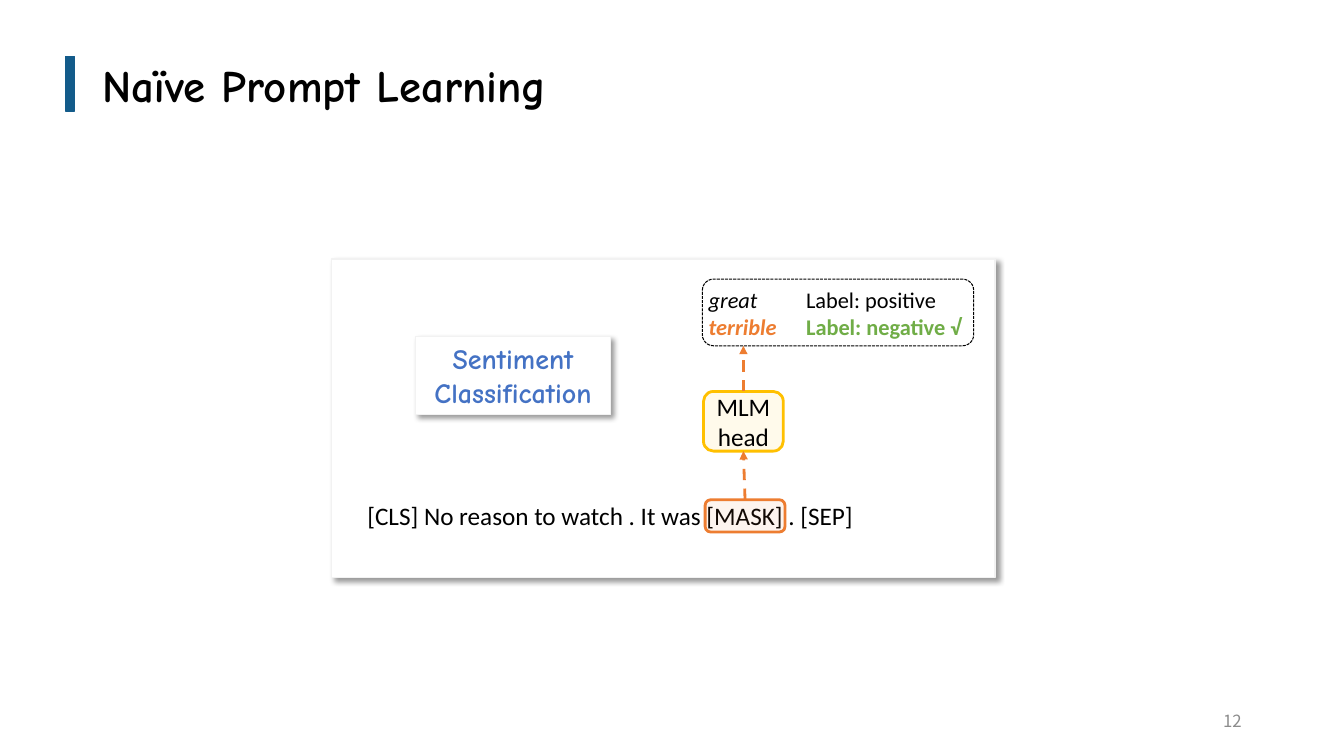
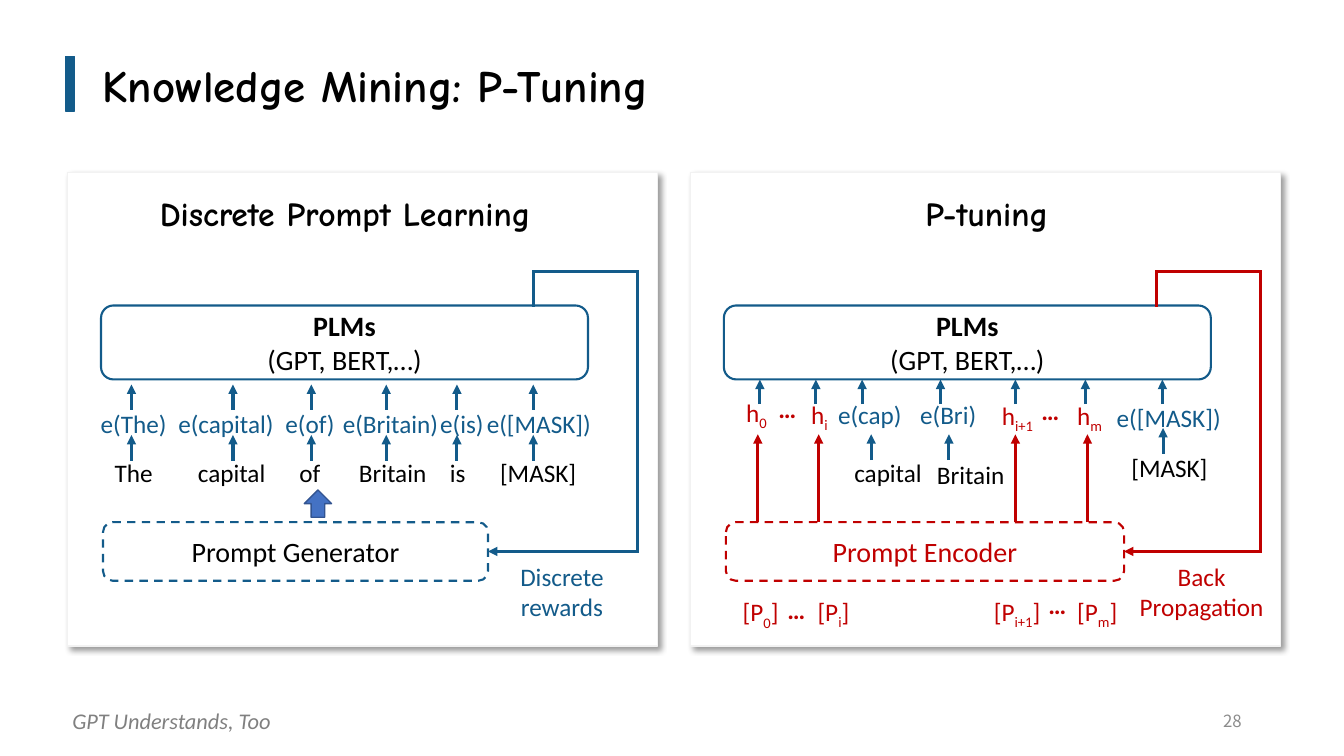
from itertools import pairwise

from lxml.etree import SubElement
from pptx import Presentation
from pptx.dml.color import RGBColor
from pptx.enum.dml import MSO_LINE
from pptx.enum.shapes import MSO_CONNECTOR, MSO_SHAPE
from pptx.enum.text import MSO_ANCHOR, PP_ALIGN
from pptx.oxml.ns import qn
from pptx.util import Pt

COLORS = {
    "black": "000000", "white": "FFFFFF", "edge": "F2F2F2",
    "navy": "135B8A", "red": "C00000", "orange": "ED7D31",
    "gold": "FFC000", "green": "70AD47", "blue": "4472C4",
    "blue_edge": "325491", "number": "8C8C8C", "footer": "808080",
}
BODY, HEADING, NUMBER = "Calibri", "Comic Neue", "Noto Sans CJK SC"
LABEL_WIDTH = 110


def rgb(name):
    return RGBColor.from_string(COLORS[name])


# Drawing helpers
def write(shape, text, size=18, color="black", font=BODY, bold=False,
          italic=False, align=PP_ALIGN.CENTER):
    """Fill a shape with text; every second part between bars is a subscript."""
    frame = shape.text_frame
    for index, line in enumerate(text.split("\n")):
        para = frame.paragraphs[0] if index == 0 else frame.add_paragraph()
        para.alignment = align
        for position, part in enumerate(line.split("|")):
            if not part:
                continue
            span = para.add_run()
            span.text = part
            span.font.name, span.font.size = font, Pt(size)
            span.font.bold, span.font.italic = bold, italic
            span.font.color.rgb = rgb(color)
            if position % 2:
                span.font._element.set("baseline", "-25000")


def add_text(page, left, top, width, height, text, wrap=True,
             anchor=MSO_ANCHOR.TOP, **style):
    box = page.shapes.add_textbox(Pt(left), Pt(top), Pt(width), Pt(height))
    box.text_frame.word_wrap = wrap
    box.text_frame.vertical_anchor = anchor
    write(box, text, **style)
    return box


def add_label(page, center, top, text, **style):
    """One-line label centred on a given x."""
    return add_text(page, center - LABEL_WIDTH / 2, top, LABEL_WIDTH, 29, text,
                    wrap=False, **style)


def add_box(page, kind, left, top, width, height, line, weight=1.0,
            fill=None, alpha=None, dash=None):
    box = page.shapes.add_shape(kind, Pt(left), Pt(top), Pt(width), Pt(height))
    box.shadow.inherit = False
    box.line.color.rgb = rgb(line)
    box.line.width = Pt(weight)
    if dash:
        box.line.dash_style = dash
    if fill:
        box.fill.solid()
        box.fill.fore_color.rgb = rgb(fill)
    else:
        box.fill.background()
    if alpha:
        tone = box._element.spPr.find(qn("a:solidFill")).find(qn("a:srgbClr"))
        SubElement(tone, qn("a:alpha"), val=str(alpha * 1000))
    box.text_frame.vertical_anchor = MSO_ANCHOR.MIDDLE
    return box


def add_card(page, left, top, width, height, weight=1.0):
    """White rectangle with a soft shadow to the lower right."""
    card = add_box(page, MSO_SHAPE.RECTANGLE, left, top, width, height,
                   "edge", weight, fill="white")
    effects = card._element.spPr.find(qn("a:effectLst"))
    shadow = SubElement(effects, qn("a:outerShdw"), blurRad=str(Pt(4)),
                        dist=str(Pt(3)), dir="2700000", algn="tl", rotWithShape="0")
    tone = SubElement(shadow, qn("a:srgbClr"), val=COLORS["black"])
    SubElement(tone, qn("a:alpha"), val="40000")
    return card


def add_line(page, start, end, color, weight=2.25, dash=None, arrow=True):
    line = page.shapes.add_connector(MSO_CONNECTOR.STRAIGHT, Pt(start[0]),
                                     Pt(start[1]), Pt(end[0]), Pt(end[1]))
    line.line.color.rgb = rgb(color)
    line.line.width = Pt(weight)
    if dash:
        line.line.dash_style = dash
    stroke = line.line._get_or_add_ln()
    if arrow:
        SubElement(stroke, qn("a:tailEnd"), type="triangle")
    else:
        stroke.set("cap", "sq")
    SubElement(line._element.spPr, qn("a:effectLst"))
    return line


# Shared slide frame
def add_page(deck, title, number):
    page = deck.slides.add_slide(deck.slide_layouts[6])
    add_box(page, MSO_SHAPE.RECTANGLE, 46.8, 40.3, 6.5, 39, "navy", fill="navy")
    heading = add_text(page, 66.2, 28.8, 828, 68.4, title, size=32, font=HEADING,
                       bold=True, anchor=MSO_ANCHOR.MIDDLE, align=PP_ALIGN.LEFT)
    heading.text_frame.paragraphs[0].line_spacing = 0.9
    add_text(page, 678, 500.4, 216, 28.8, str(number), size=12, color="number",
             font=NUMBER, anchor=MSO_ANCHOR.MIDDLE, align=PP_ALIGN.RIGHT)
    return page


# Sentiment example: masked sentence, head and verbalizer
def add_sentiment_example(page, left, top):
    add_card(page, left, top, 473.8, 227.5)
    add_text(page, left - 41, top + 168.5, 480, 29,
             "[CLS] No reason to watch . It was [MASK] . [SEP]")
    rounded = MSO_SHAPE.ROUNDED_RECTANGLE
    mask = add_box(page, rounded, left + 266.8, top + 172, 57, 23, "orange", 2,
                   fill="orange", alpha=8)
    head = add_box(page, rounded, left + 265.6, top + 94.6, 57, 42.6, "gold", 2,
                   fill="gold", alpha=8)
    head.text_frame.word_wrap = True
    write(head, "MLM head")

    # Answer words and their labels
    add_box(page, rounded, left + 264.8, top + 14.4, 193.8, 47.6, "black", 0.75,
            dash=MSO_LINE.SQUARE_DOT)
    for offset, width, lines, accent, italic in (
            (262.2, 63.4, ("great", "terrible"), "orange", True),
            (331.8, 126.8, ("Label: positive", "Label: negative √"), "green", False)):
        column = add_text(page, left + offset, top + 15.8, width, 46, "\n".join(lines),
                          wrap=False, size=16, italic=italic, align=PP_ALIGN.LEFT)
        chosen = column.text_frame.paragraphs[1].runs[0].font
        chosen.bold = True
        chosen.color.rgb = rgb(accent)

    # Arrows from the mask up to the answer
    middle = left + 294.1
    to_answer = add_line(page, (middle, top + 94.6), (middle, top + 62),
                         "orange", 2, MSO_LINE.DASH)
    to_answer.begin_connect(head, 0)
    to_head = add_line(page, (middle + 1.2, top + 172), (middle, top + 137.2),
                       "orange", 2, MSO_LINE.DASH)
    to_head.begin_connect(mask, 0)
    to_head.end_connect(head, 2)

    task = add_card(page, left + 59.8, top + 55.5, 139.7, 55.5, weight=0.75)
    task.text_frame.word_wrap = True
    write(task, "Sentiment Classification", size=20, color="blue", font=HEADING,
          bold=True)


# Card with a language model, a prompt source and a feedback loop
def add_model_card(page, left, top, title, title_center, source, source_width,
                   source_color, color, feedback, feedback_center):
    add_card(page, left, top, 421.2, 338.4)
    add_text(page, left + title_center - 150, top + 11, 300, 36, title, size=24,
             font=HEADING, bold=True)
    model = add_box(page, MSO_SHAPE.ROUNDED_RECTANGLE, left + 23.8, top + 95, 347.8,
                    52.8, "navy", 1.5)
    write(model, "PLMs\n(GPT, BERT,…)", size=20)
    model.text_frame.paragraphs[0].runs[0].font.bold = True
    prompt = add_box(page, MSO_SHAPE.ROUNDED_RECTANGLE, left + 25.2, top + 249.8,
                     source_width, 41.8, color, 1.5, dash=MSO_LINE.DASH)
    write(prompt, source, size=20, color=source_color)

    # Feedback from the model to the prompt source
    turn, corner, level = left + 332.5, left + 406.8, top + 270.7
    route = [(turn, top + 95), (turn, top + 70.5), (corner, top + 70.5),
             (corner, level)]
    for start, end in pairwise(route):
        add_line(page, start, end, color, arrow=False)
    back = add_line(page, route[-1], (left + 25.2 + source_width, level), color)
    back.end_connect(prompt, 3)
    add_text(page, left + feedback_center - 55, top + 274.3, 110, 51, feedback,
             color=color)


def add_arrows(page, left, top, columns, start, end, color):
    for x in columns:
        add_line(page, (left + x, top + start), (left + x, top + end), color)


def add_labels(page, left, top, labels, color):
    """Place (text, centre, top) labels; a lone ellipsis is bold."""
    for text, center, height in labels:
        add_label(page, left + center, top + height, text, color=color,
                  bold=text == "…")


def add_discrete_card(page, left, top):
    add_model_card(page, left, top, "Discrete Prompt Learning", 198,
                   "Prompt Generator", 275, "black", "navy", "Discrete\nrewards", 353)
    # Word, arrow x, word centre, embedding centre
    tokens = (("The", 45.5, 47, 47), ("capital", 118, 117, 113),
              ("of", 174, 173, 173), ("Britain", 227.5, 232, 230.5),
              ("is", 278, 278.5, 281.5), ("[MASK]", 332.5, 336, 336.5))
    add_labels(page, left, top, [(word, x, 200) for word, _, x, _ in tokens], "black")
    add_labels(page, left, top,
               [(f"e({word})", x, 165) for word, _, _, x in tokens], "navy")
    columns = [x for _, x, _, _ in tokens]
    for start, end in ((206, 187.5), (169.5, 151.5)):
        add_arrows(page, left, top, columns, start, end, "navy")
    add_box(page, MSO_SHAPE.UP_ARROW, left + 169, top + 226.8, 19.5, 19.5,
            "blue_edge", fill="blue")


def add_p_tuning_card(page, left, top):
    add_model_card(page, left, top, "P-tuning", 211.5, "Prompt Encoder", 284.4,
                   "red", "red", "Back\nPropagation", 365)
    # Pseudo tokens and their learned vectors
    add_labels(page, left, top, (
        ("[P|0|]", 50, 299.5), ("…", 75.5, 297.5), ("[P|i|]", 102, 299),
        ("[P|i+1|]", 233.2, 299), ("…", 262, 294.5), ("[P|m|]", 290.5, 299),
        ("h|0", 47, 157), ("…", 69, 154), ("h|i", 92, 158.5),
        ("h|i+1", 233.5, 159), ("…", 257, 155.5), ("h|m", 285, 159)), "red")
    # Real words and their embeddings
    add_labels(page, left, top, (("capital", 141, 200), ("Britain", 200, 201),
                                 ("[MASK]", 342, 196)), "black")
    add_labels(page, left, top, (("e(cap)", 128, 158.5), ("e(Bri)", 184, 158.5),
                                 ("e([MASK])", 341.5, 160.5)), "navy")
    add_arrows(page, left, top, (48, 91.5, 232, 283.5), 249.8, 187, "red")
    add_arrows(page, left, top, (129, 184.5), 205.5, 187, "navy")
    add_arrows(page, left, top, (337.5,), 201, 182.5, "navy")
    add_arrows(page, left, top, (49.5, 89.5, 122.5, 178.5, 232, 282, 337),
               165.5, 148, "navy")


def main():
    deck = Presentation()
    deck.slide_width, deck.slide_height = Pt(960), Pt(540)

    page = add_page(deck, "Naïve Prompt Learning", 12)
    add_sentiment_example(page, 236.9, 185)

    page = add_page(deck, "Knowledge Mining: P-Tuning", 28)
    add_discrete_card(page, 48.4, 123.2)
    add_p_tuning_card(page, 493.3, 123.2)
    add_text(page, 44.6, 501.6, 158.5, 26.5, "GPT Understands, Too", wrap=False,
             size=16, color="footer", italic=True, align=PP_ALIGN.LEFT)

    deck.save("out.pptx")


if __name__ == "__main__":
    main()
